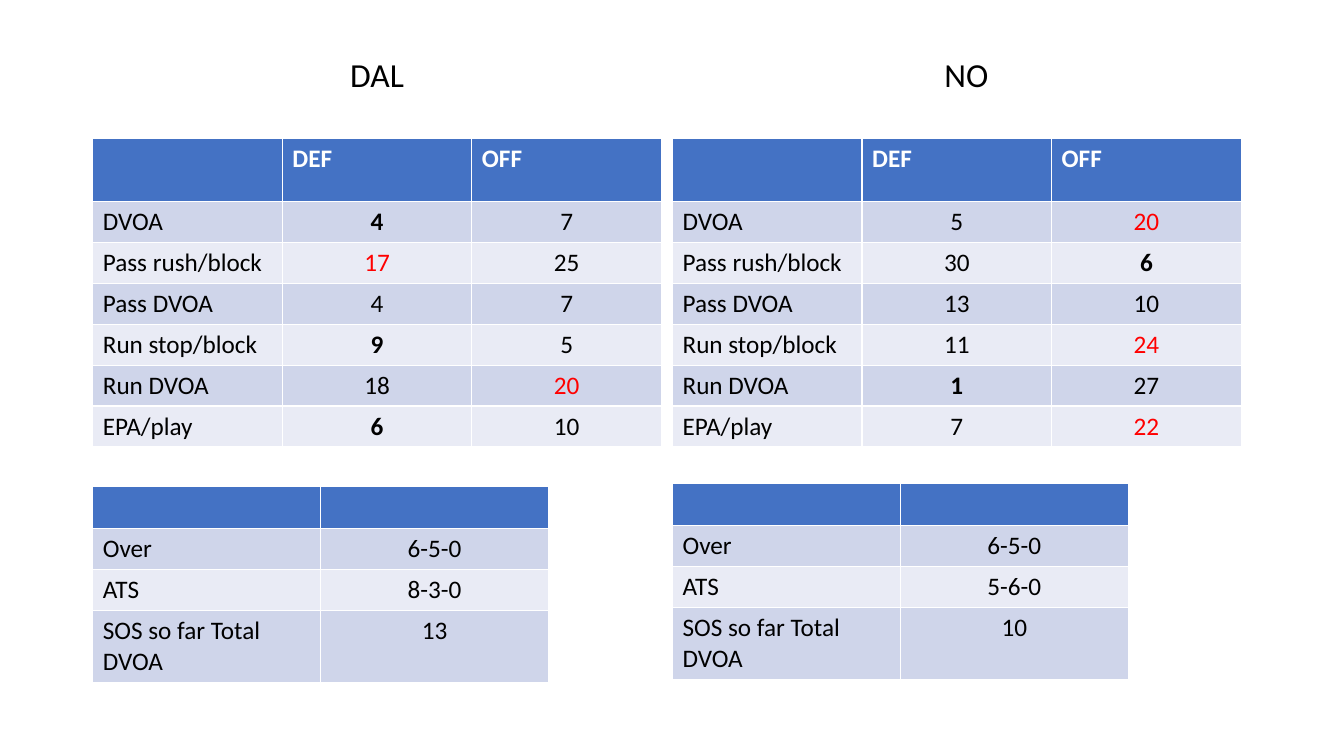
from pptx import Presentation
from pptx.dml.color import RGBColor
from pptx.enum.text import MSO_ANCHOR, PP_ALIGN
from pptx.util import Inches, Pt

FONT = "Calibri"
BLACK, WHITE, RED = "000000", "FFFFFF", "FF0000"
HEADER, BANDS = "4472C4", ("CFD5EA", "E9EBF5")
STRONG, WEAK = "*", "!"

RANK_HEADER = ("", "DEF", "OFF")
RANK_LABELS = ("DVOA", "Pass rush/block", "Pass DVOA",
               "Run stop/block", "Run DVOA", "EPA/play")
RECORD_HEADER = ("", "")
RECORD_LABELS = ("Over", "ATS", "SOS so far Total DVOA")

TEAMS = [
    {"name": "DAL", "heading": (0.92, 5.64), "left": 0.92, "record_top": 4.83,
     "ranks": [("*4", "7"), ("!17", "25"), ("4", "7"),
               ("*9", "5"), ("18", "!20"), ("*6", "10")],
     "record": [("6-5-0",), ("8-3-0",), ("13",)]},
    {"name": "NO", "heading": (6.75, 5.67), "left": 6.67, "record_top": 4.8,
     "ranks": [("5", "!20"), ("30", "*6"), ("13", "10"),
               ("11", "!24"), ("*1", "27"), ("7", "!22")],
     "record": [("6-5-0",), ("5-6-0",), ("10",)]},
]


def rgb(value):
    return RGBColor.from_string(value)


def style(p, size, color, bold=False):
    for font in [p.font] + [r.font for r in p.runs]:
        font.name, font.size, font.bold = FONT, Pt(size), bold
        font.color.rgb = rgb(color)


def add_heading(s, idx, text, left, width):
    sp = s.placeholders[idx]
    sp.left, sp.top = Inches(left), Inches(0.09)
    sp.width, sp.height = Inches(width), Inches(0.9)
    tf = sp.text_frame
    tf.text = text
    tf.vertical_anchor = MSO_ANCHOR.BOTTOM
    p = tf.paragraphs[0]
    p.alignment, p.line_spacing, p.space_before = PP_ALIGN.CENTER, 0.9, Pt(10)
    style(p, 24, BLACK)


def fill_cell(cell, text, row, col):
    bold, color = row == 0, WHITE if row == 0 else BLACK
    if text.startswith(STRONG):
        bold = True
    elif text.startswith(WEAK):
        color = RED
    cell.text = text.lstrip(STRONG + WEAK)
    cell.fill.solid()
    cell.fill.fore_color.rgb = rgb(BANDS[(row - 1) % 2] if row else HEADER)
    p = cell.text_frame.paragraphs[0]
    if row and col:
        p.alignment = PP_ALIGN.CENTER
    style(p, 18, color, bold)


def add_table(s, header, labels, values, left, top, col_width, heights):
    rows = [header] + [(label, *row) for label, row in zip(labels, values)]
    size = len(rows), len(header)
    frame = s.shapes.add_table(*size, Inches(left), Inches(top),
                               Inches(col_width * size[1]), Inches(sum(heights)))
    table = frame.table
    for column in table.columns:
        column.width = Inches(col_width)
    for i, row in enumerate(rows):
        table.rows[i].height = Inches(heights[i])
        for j, text in enumerate(row):
            fill_cell(table.cell(i, j), text, i, j)


prs = Presentation()
prs.slide_width, prs.slide_height = Inches(13.33), Inches(7.5)
s = prs.slides.add_slide(prs.slide_layouts.get_by_name("Comparison"))

for idx, team in zip((1, 3), TEAMS):
    add_heading(s, idx, team["name"], *team["heading"])
    add_table(s, RANK_HEADER, RANK_LABELS, team["ranks"], team["left"], 1.37,
              1.88, [0.63] + [0.39] * len(RANK_LABELS))
    add_table(s, RECORD_HEADER, RECORD_LABELS, team["record"], team["left"],
              team["record_top"], 2.26, [0.41] * (len(RECORD_LABELS) + 1))

for sp in list(s.placeholders):
    if not sp.text_frame.text:
        sp.element.getparent().remove(sp.element)

prs.save("out.pptx")
